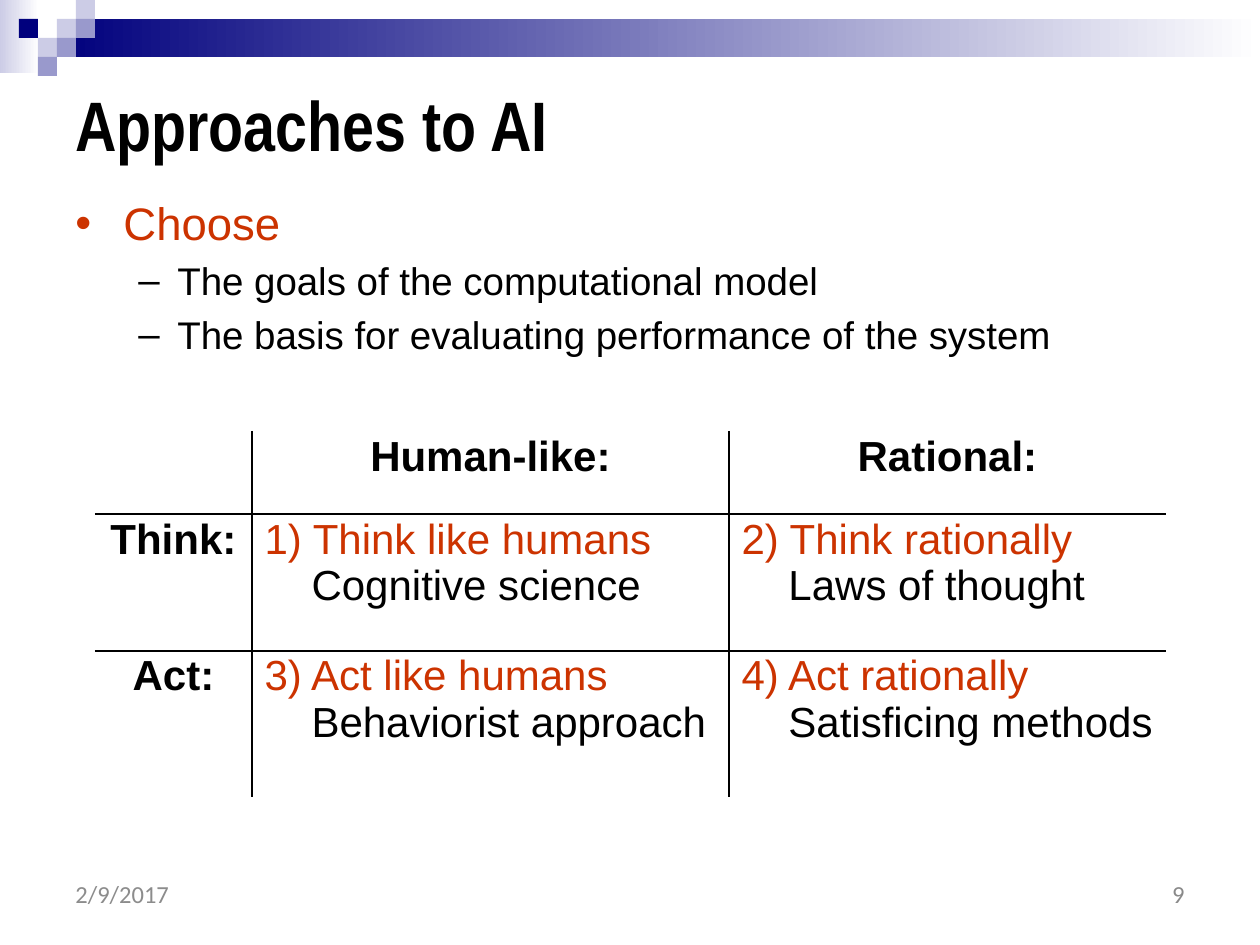
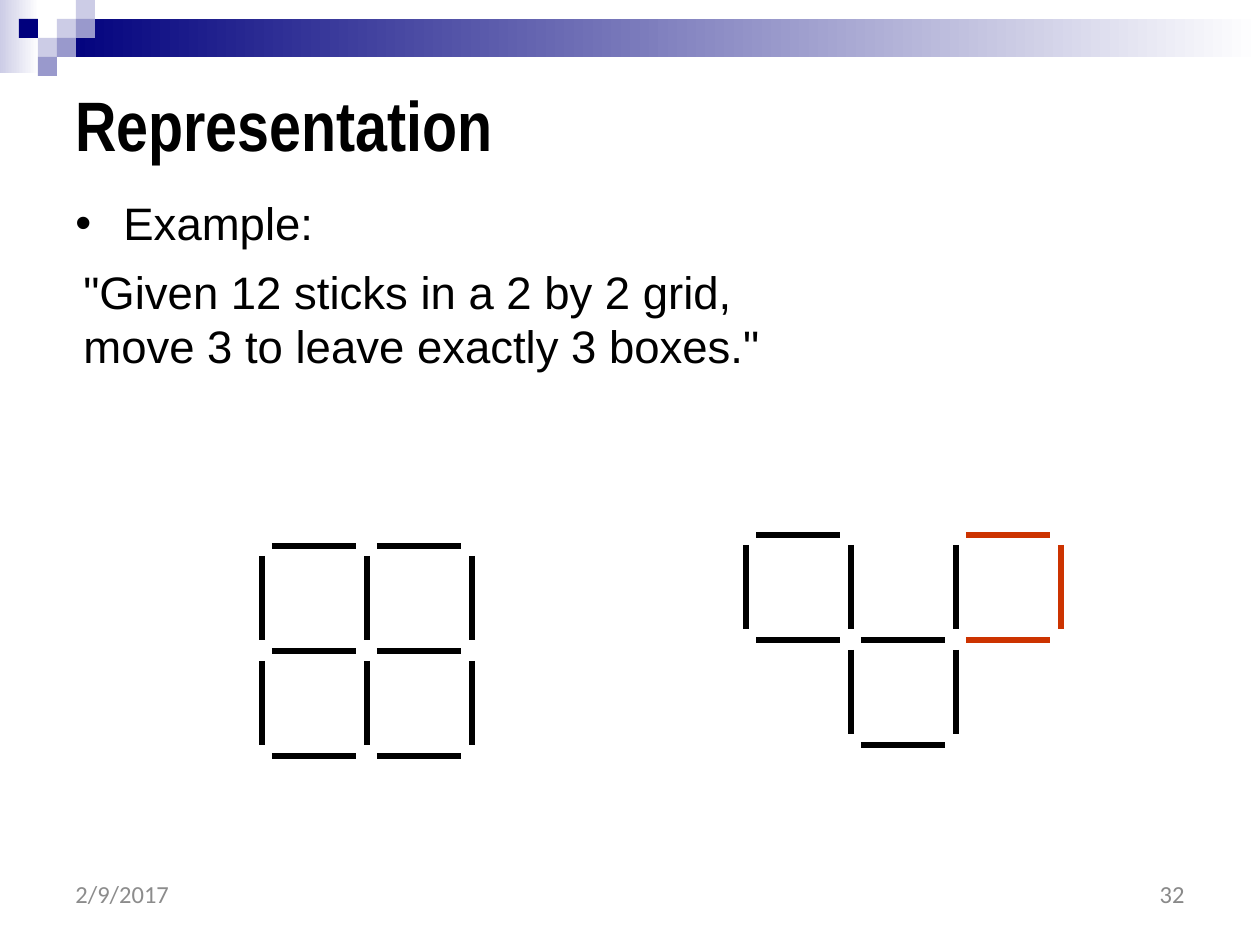
"""Builds two lecture slides: approaches to AI, and a stick-puzzle example."""
from lxml import etree
from pptx import Presentation
from pptx.dml.color import RGBColor
from pptx.enum.shapes import MSO_CONNECTOR, MSO_SHAPE
from pptx.enum.text import MSO_ANCHOR, PP_ALIGN
from pptx.oxml.ns import qn
from pptx.util import Emu, Pt

BLACK, WHITE, RED = "000000", "FFFFFF", "CC3300"
NAVY, MID, PALE = "00007D", "9999CC", "CCCCE6"
DATE_GREY, NUMBER_GREY = "8C8C8C", "898989"
BODY_FONT, TITLE_FONT, FOOTER_FONT = "Arial", "Arial Narrow", "Calibri"

SQUARE = 19            # side of one square of the corner mosaic
MOSAIC = [(3, 1, PALE), (4, 0, PALE), (4, 1, MID), (2, 2, PALE),
          (1, 1, NAVY), (3, 2, MID), (2, 3, MID)]
STICK_PITCH, STICK_GAP, STICK_LENGTH = 105, 10, 84


def px(pixels):
    """Turn pixels (126 to the inch) into EMU."""
    return Emu(round(pixels * 914400 / 126))


def rgb(value):
    """Turn a hex string into a colour."""
    return RGBColor.from_string(value)


def add_block(slide, x, y, w, h, colour, fade_to=None):
    """Add a borderless rectangle, plain or fading from left to right."""
    block = slide.shapes.add_shape(MSO_SHAPE.RECTANGLE, px(x), px(y), px(w), px(h))
    block.shadow.inherit = False
    block.line.fill.background()
    if fade_to is None:
        block.fill.solid()
        block.fill.fore_color.rgb = rgb(colour)
        return
    block.fill.gradient()
    block.fill.gradient_angle = 0
    for position, (stop, hex_value) in enumerate(
            zip(block.fill.gradient_stops, (colour, fade_to))):
        stop.position = position
        stop.color.rgb = rgb(hex_value)


def write(paragraph, text, size, colour=BLACK, font=BODY_FONT, bold=False,
          align=PP_ALIGN.LEFT, before=0):
    """Fill a paragraph with text in one style."""
    paragraph.text = text
    paragraph.alignment = align
    paragraph.space_before = Pt(before)
    for run in paragraph.runs:
        run.font.size = Pt(size)
        run.font.name = font
        run.font.bold = bold
        run.font.color.rgb = rgb(colour)


def indent(paragraph, left, first=0, bullet=None):
    """Set a paragraph's left and first-line indents and its bullet."""
    props = paragraph._p.get_or_add_pPr()
    props.set("marL", str(px(left)))
    props.set("indent", str(px(first)))
    if bullet:
        etree.SubElement(props, qn("a:buFont")).set("typeface", BODY_FONT)
        etree.SubElement(props, qn("a:buChar")).set("char", bullet)


def add_text_frame(slide, x, y, w, h, anchor=MSO_ANCHOR.TOP):
    """Add a wrapping text box and return its frame."""
    frame = slide.shapes.add_textbox(px(x), px(y), px(w), px(h)).text_frame
    frame.word_wrap = True
    frame.vertical_anchor = anchor
    return frame


def paragraphs(frame, count):
    """Return the given number of paragraphs of a fresh text frame."""
    return [frame.paragraphs[0]] + [frame.add_paragraph() for _ in range(count - 1)]


def add_base_slide(prs, title, number):
    """Add a slide with the corner mosaic, band, title and footer."""
    slide = prs.slides.add_slide(prs.slide_layouts[6])
    add_block(slide, 0, 0, 39, 73, PALE, WHITE)
    add_block(slide, 57, SQUARE, 1203, 2 * SQUARE, NAVY, WHITE)
    for col, row, colour in MOSAIC:
        add_block(slide, col * SQUARE, row * SQUARE, SQUARE, SQUARE, colour)
    frame = add_text_frame(slide, 63, 57, 1134, 132, MSO_ANCHOR.MIDDLE)
    write(frame.paragraphs[0], title, 40, font=TITLE_FONT, bold=True)
    for x, text, colour, align in (
            (63, "2/9/2017", DATE_GREY, PP_ALIGN.LEFT),
            (903, number, NUMBER_GREY, PP_ALIGN.RIGHT)):
        frame = add_text_frame(slide, x, 872, 294, 44, MSO_ANCHOR.MIDDLE)
        write(frame.paragraphs[0], text, 14, colour, FOOTER_FONT, align=align)
    return slide


def add_body(slide, height, items):
    """Add the body text; each item is text, size, colour, before, indents."""
    frame = add_text_frame(slide, 63, 189, 1166, height)
    for paragraph, (text, size, colour, before, indents) in zip(
            paragraphs(frame, len(items)), items):
        write(paragraph, text, size, colour, before=before)
        indent(paragraph, *indents)


def set_borders(cell, visible):
    """Draw thin black lines on the visible sides (of LRTB), none elsewhere."""
    props = cell._tc.get_or_add_tcPr()
    for side in "LRTB":
        line = etree.SubElement(props, qn("a:ln" + side), w=str(Pt(1)))
        if side in visible:
            fill = etree.SubElement(line, qn("a:solidFill"))
            etree.SubElement(fill, qn("a:srgbClr"), val=BLACK)
        else:
            etree.SubElement(line, qn("a:noFill"))


def add_approach_table(slide, rows, widths, heights):
    """Add the table: bold headings, and cells of a red and a black line."""
    table = slide.shapes.add_table(len(heights), len(widths), px(95), px(431),
                                   px(sum(widths)), px(sum(heights))).table
    table.first_row = table.horz_banding = False
    for column, width in zip(table.columns, widths):
        column.width = px(width)
    last_row, last_col = len(heights) - 1, len(widths) - 1
    for r, (height, row) in enumerate(zip(heights, rows)):
        table.rows[r].height = px(height)
        for c, lines in enumerate(row):
            cell = table.cell(r, c)
            set_borders(cell, "L" * (c > 0) + "R" * (c < last_col)
                        + "T" * (r > 0) + "B" * (r < last_row))
            cell.fill.background()
            heading = r == 0 or c == 0
            for i, paragraph in enumerate(paragraphs(cell.text_frame, len(lines))):
                write(paragraph, lines[i], 24, BLACK if heading or i else RED,
                      bold=heading, before=2.4,
                      align=PP_ALIGN.CENTER if heading else PP_ALIGN.LEFT)
                paragraph.line_spacing = 0.9
                if i:
                    indent(paragraph, 47)


def add_stick(slide, x, y, dx, dy, colour):
    """Add one thick straight stick."""
    stick = slide.shapes.add_connector(MSO_CONNECTOR.STRAIGHT, px(x), px(y),
                                       px(x + dx), px(y + dy))
    stick.line.width = Pt(3)
    stick.line.color.rgb = rgb(colour)
    etree.SubElement(stick._element.spPr, qn("a:effectLst"))


def add_sticks(slide, left, top, upright, flat, colour=BLACK):
    """Add upright and flat sticks at (column, row) places of a grid."""
    for col, row in upright:
        add_stick(slide, left + col * STICK_PITCH,
                  top + row * STICK_PITCH + STICK_GAP, 0, STICK_LENGTH, colour)
    for col, row in flat:
        add_stick(slide, left + col * STICK_PITCH + STICK_GAP,
                  top + row * STICK_PITCH, STICK_LENGTH, 0, colour)


def build_approaches(prs):
    """Build the slide on approaches to AI."""
    slide = add_base_slide(prs, "Approaches to AI", "9")
    dash = (102, -39, "–")
    add_body(slide, 199, [
        ("Choose", 26, RED, 8, (48, -48, "•")),
        ("The goals of the computational model", 22, BLACK, 4.4, dash),
        ("The basis for evaluating performance of the system", 22, BLACK, 4.4, dash),
    ])
    add_approach_table(slide, [
        [[""], ["Human-like:"], ["Rational:"]],
        [["Think:"], ["1) Think like humans", "Cognitive science"],
         ["2) Think rationally", "Laws of thought"]],
        [["Act:"], ["3) Act like humans", "Behaviorist approach"],
         ["4) Act rationally", "Satisficing methods"]],
    ], widths=(157, 477, 437), heights=(83, 137, 146))


def build_representation(prs):
    """Build the slide with the stick puzzle and its solution."""
    slide = add_base_slide(prs, "Representation", "32")
    add_body(slide, 339, [
        ("Example:", 26, BLACK, 8, (48, -48, "•")),
        ('"Given 12 sticks in a 2 by 2 grid, \vmove 3 to leave exactly 3 boxes."',
         26, BLACK, 8, (8,)),
    ])
    add_sticks(slide, 262, 546,
               upright=[(col, row) for col in range(3) for row in range(2)],
               flat=[(col, row) for row in range(3) for col in range(2)])
    solution = (746, 535)
    add_sticks(slide, *solution,
               upright=[(0, 0), (1, 0), (2, 0), (1, 1), (2, 1)],
               flat=[(0, 0), (0, 1), (1, 1), (1, 2)])
    add_sticks(slide, *solution, upright=[(3, 0)], flat=[(2, 0), (2, 1)], colour=RED)


def main():
    """Build and save the presentation."""
    prs = Presentation()
    prs.slide_width, prs.slide_height = px(1260), px(945)
    build_approaches(prs)
    build_representation(prs)
    prs.save("out.pptx")


main()
